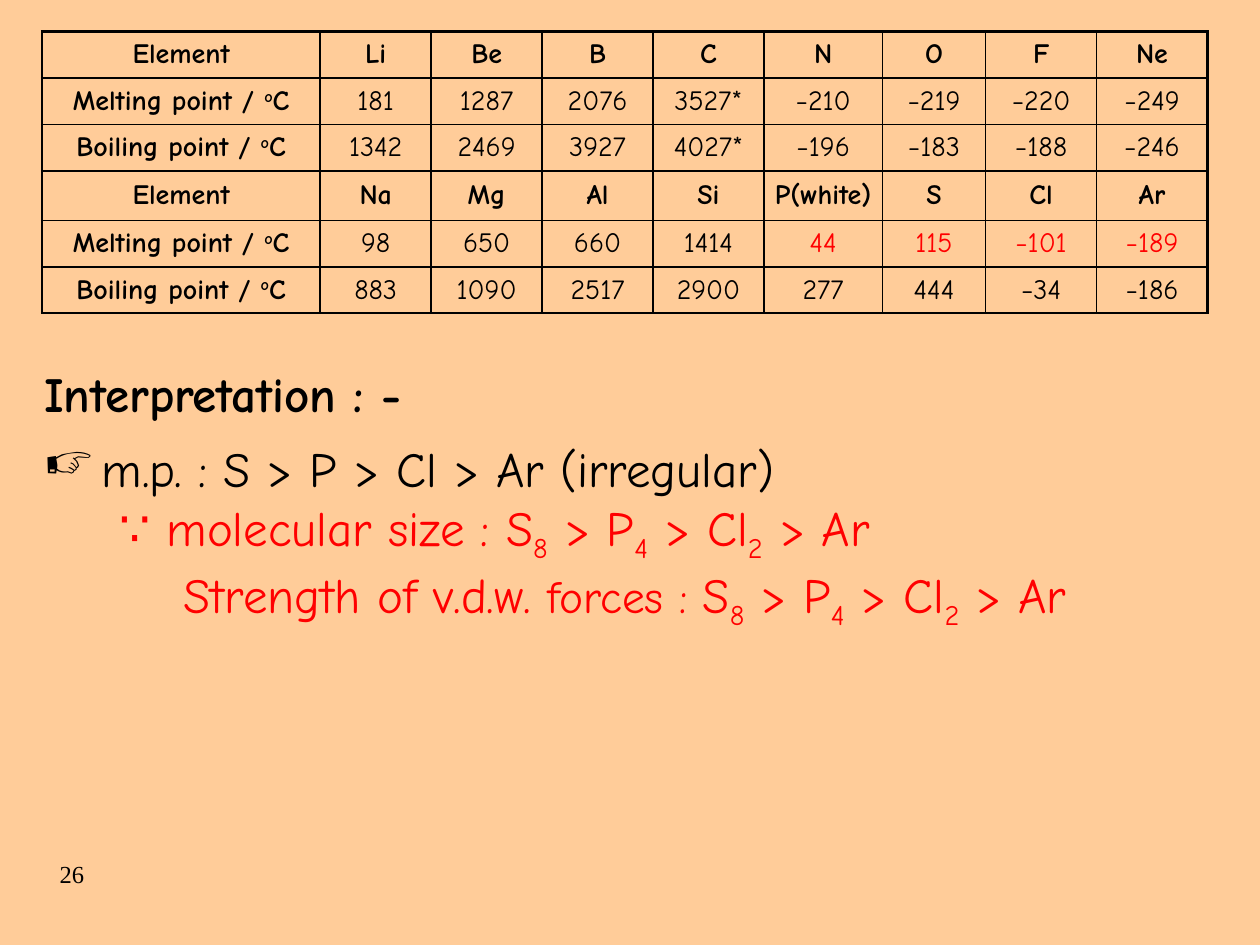
from lxml.etree import SubElement
from pptx import Presentation
from pptx.dml.color import RGBColor
from pptx.enum.text import MSO_ANCHOR as Anchor, MSO_AUTO_SIZE as AutoSize, PP_ALIGN as Align
from pptx.oxml.ns import qn
from pptx.util import Pt

BLACK = RGBColor(0, 0, 0)
RED = RGBColor(0xFF, 0, 0)
PEACH = RGBColor(0xFF, 0xCC, 0x99)
SUPER, SUB = 30, -25
THIN, THICK = 1, 1.5


class SlideWriter:
    font = "Comic Neue"

    def __init__(self, slide):
        self.slide = slide
        fill = slide.background.fill
        fill.solid()
        fill.fore_color.rgb = PEACH

    def run(self, paragraph, text, size, color=BLACK, bold=False, baseline=0, font=None):
        run = paragraph.add_run()
        run.text = text
        run.font.name = font or self.font
        run.font.size = Pt(size)
        run.font.bold = bold
        run.font.color.rgb = color
        if baseline:
            run.font._element.set("baseline", str(baseline * 1000))

    def title(self, text, left, top, width, height):
        title = self.slide.shapes.title
        title.left, title.top, title.width, title.height = map(Pt, (left, top, width, height))
        frame = title.text_frame
        frame.auto_size = AutoSize.NONE
        frame.vertical_anchor = Anchor.TOP
        heading = frame.paragraphs[0]
        heading.alignment = Align.LEFT
        heading.line_spacing = 1.0
        heading.space_before = Pt(0)
        self.run(heading, text, 28, bold=True)

    def text_box(self, left, top, width, height):
        frame = self.slide.shapes.add_textbox(*map(Pt, (left, top, width, height))).text_frame
        frame.word_wrap = True
        return frame

    def indent(self, paragraph, margin, bullet=None):
        properties = paragraph._p.get_or_add_pPr()
        properties.set("marL", str(Pt(margin)))
        properties.set("indent", str(Pt(-margin if bullet else 0)))
        if bullet:
            color = SubElement(properties, qn("a:buClr"))
            SubElement(color, qn("a:srgbClr"), val=str(BLACK))
            SubElement(properties, qn("a:buChar"), char=bullet)

    def border(self, cell, widths):
        properties = cell._tc.get_or_add_tcPr()
        for position, (side, width) in enumerate(zip("LRTB", widths)):
            line = SubElement(properties, qn(f"a:ln{side}"), w=str(Pt(width)))
            fill = SubElement(line, qn("a:solidFill"))
            SubElement(fill, qn("a:srgbClr"), val=str(BLACK))
            properties.insert(position, line)

    def table(self, rows, left, top, column_widths, row_heights, red_cells):
        frame = self.slide.shapes.add_table(
            len(rows), len(column_widths), Pt(left), Pt(top),
            Pt(sum(column_widths)), Pt(sum(row_heights)))
        table = frame.table
        table.first_row = table.horz_banding = False
        for column, width in zip(table.columns, column_widths):
            column.width = Pt(width)
        last = len(column_widths) - 1
        for r, values in enumerate(rows):
            table.rows[r].height = Pt(row_heights[r])
            for c, value in enumerate(values):
                cell = table.cell(r, c)
                cell.fill.background()
                cell.vertical_anchor = Anchor.MIDDLE
                cell.margin_left = cell.margin_right = Pt(1.5)
                cell.margin_top = cell.margin_bottom = 0
                paragraph = cell.text_frame.paragraphs[0]
                paragraph.alignment = Align.CENTER
                color = RED if (r, c) in red_cells else BLACK
                bold = c == 0 or r % 3 == 0
                for text, baseline in [(value, 0)] if isinstance(value, str) else value:
                    self.run(paragraph, text, 16, color, bold, baseline)
                self.border(cell, (
                    THICK if c < 2 else THIN,
                    THICK if c in (0, last) else THIN,
                    THICK if r % 3 == 0 else THIN,
                    THICK if r % 3 == 2 else THIN))


def celsius(quantity):
    return [(f"{quantity} / ", 0), ("o", SUPER), ("C", 0)]


def main():
    prs = Presentation()
    prs.slide_width, prs.slide_height = Pt(720), Pt(540)
    writer = SlideWriter(prs.slides.add_slide(prs.slide_layouts[5]))

    melting, boiling = celsius("Melting point"), celsius("Boiling point")
    periods = [
        ["Element", "Li", "Be", "B", "C", "N", "O", "F", "Ne"],
        [melting, "181", "1287", "2076", "3527*", "−210", "−219", "−220", "−249"],
        [boiling, "1342", "2469", "3927", "4027*", "−196", "−183", "−188", "−246"],
        ["Element", "Na", "Mg", "Al", "Si", "P(white)", "S", "Cl", "Ar"],
        [melting, "98", "650", "660", "1414", "44", "115", "−101", "−189"],
        [boiling, "883", "1090", "2517", "2900", "277", "444", "−34", "−186"],
    ]
    column_widths = [159] + [63.4] * 4 + [67.7, 59] + [63.4] * 2
    row_heights = [26.6] * 3 + [28.1] + [26.6] * 2
    writer.table(periods, 24, 18, column_widths, row_heights, {(4, c) for c in range(5, 9)})

    writer.title("Interpretation : -", 18, 204, 330, 41)

    reasons = writer.text_box(18, 247, 702, 140)
    trend = reasons.paragraphs[0]
    writer.indent(trend, 33, "☞")
    writer.run(trend, "m.p. : S > P > Cl > Ar (irregular)", 28)

    order = [("S", 0), ("8", SUB), (" > P", 0), ("4", SUB), (" > Cl", 0), ("2", SUB), (" > Ar", 0)]
    explanations = [
        (43, [("∵ molecular size : ", 28)]),
        (80, [("Strength of v.d.w. ", 28), ("forces : ", 26)]),
    ]
    for margin, causes in explanations:
        explanation = reasons.add_paragraph()
        writer.indent(explanation, margin)
        for text, size in causes:
            writer.run(explanation, text, size, RED)
        for text, baseline in order:
            writer.run(explanation, text, 28, RED, baseline=baseline)

    page_number = writer.text_box(27, 487.5, 102, 36)
    writer.run(page_number.paragraphs[0], "26", 14, font="Times New Roman")

    prs.save("out.pptx")


if __name__ == "__main__":
    main()
